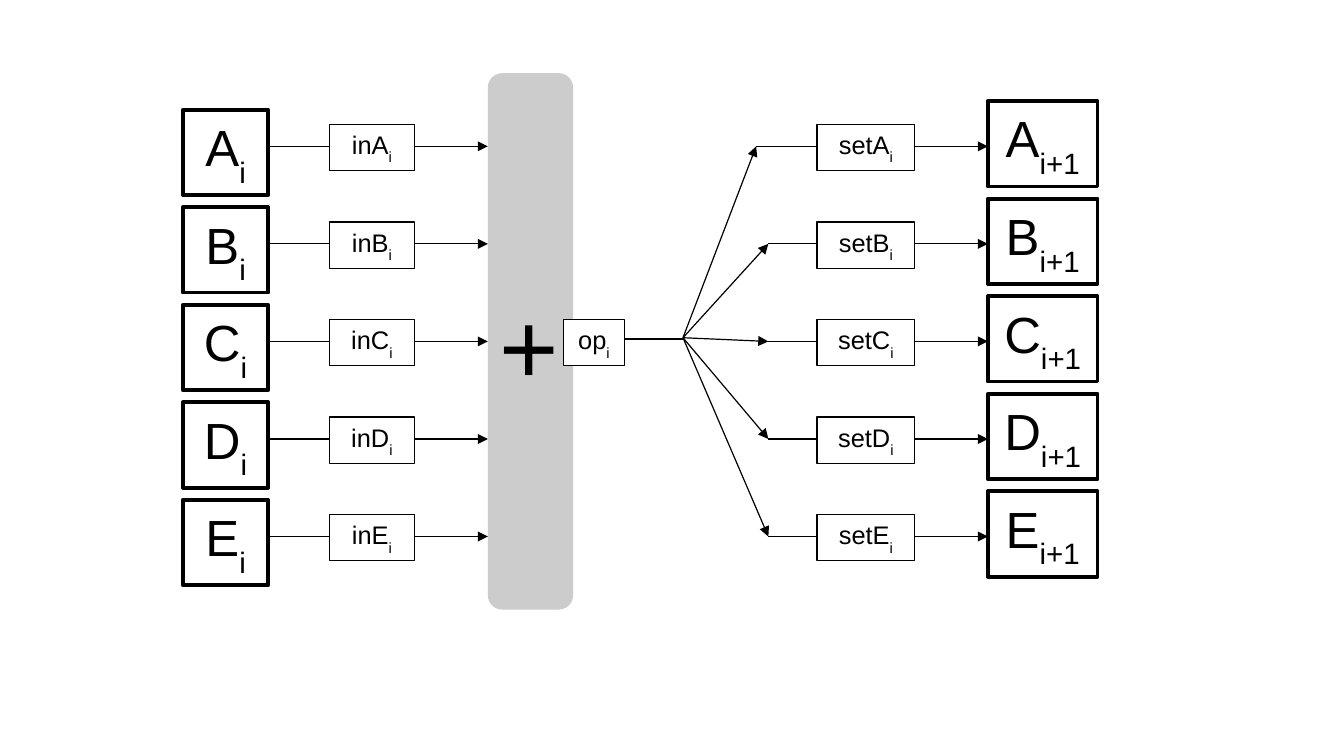
from lxml import etree
from pptx import Presentation, util as u
from pptx.dml.color import RGBColor
from pptx.enum import shapes, text
from pptx.oxml import ns

BLACK = RGBColor(0x00, 0x00, 0x00)
WHITE = RGBColor(0xFF, 0xFF, 0xFF)
GRAY = RGBColor(0xCC, 0xCC, 0xCC)

THIN, THICK = 0.71, 2.27
NAMES = "ABCDE"
TOP, STEP = 1.2, 0.8
FORK = (5.6, 2.77)


class Board:
    font = "Arial"

    def __init__(self, slide):
        self.items = slide.shapes

    def letter(self, shape, base, sub, size, pad, align):
        """Fill a shape with a base text and its subscript."""
        frame = shape.text_frame
        form = {
            "word_wrap": True,
            "auto_size": text.MSO_AUTO_SIZE.SHAPE_TO_FIT_TEXT,
            "margin_left": u.Inches(pad),
            "margin_right": u.Inches(pad),
            "margin_top": u.Inches(pad - 0.05),
            "margin_bottom": u.Inches(pad - 0.05),
        }
        for key, value in form.items():
            setattr(frame, key, value)
        para = frame.paragraphs[0]
        para.alignment = align
        for part in filter(None, (base, sub)):
            run = para.add_run()
            run.text = part
            look = {"name": self.font, "size": u.Pt(size)}
            for key, value in look.items():
                setattr(run.font, key, value)
            run.font.color.rgb = BLACK
            if part == sub:
                run.font._element.set("baseline", "-33000")

    def shape(self, kind, left, top, width, height):
        item = self.items.add_shape(kind, *map(u.Inches, (left, top, width, height)))
        item.shadow.inherit = False
        return item

    def box(self, left, top, width, height, base, sub, size, line, pad, fill=None):
        item = self.shape(shapes.MSO_SHAPE.RECTANGLE, left, top, width, height)
        if fill is None:
            item.fill.background()
        else:
            item.fill.solid()
            item.fill.fore_color.rgb = fill
        item.line.color.rgb = BLACK
        item.line.width = u.Pt(line)
        self.letter(item, base, sub, size, pad, text.PP_ALIGN.CENTER)

    def state(self, left, top, width, base, sub):
        self.box(left, top, width, 0.7, base, sub, 30, THICK, 0.11)

    def label(self, left, mid, width, base):
        self.box(left, mid - 0.18, width, 0.38, base, "i", 15, THIN, 0.1, WHITE)

    def bar(self, left, top, width, height):
        item = self.shape(shapes.MSO_SHAPE.ROUNDED_RECTANGLE, left, top, width, height)
        item.adjustments[0] = 0.17
        item.fill.solid()
        item.fill.fore_color.rgb = GRAY
        item.line.fill.background()

    def sign(self, left, top, width, height, mark):
        item = self.items.add_textbox(*map(u.Inches, (left, top, width, height)))
        self.letter(item, mark, None, 60, 0.1, text.PP_ALIGN.LEFT)

    def line(self, start, end, arrow=True):
        item = self.items.add_connector(
            shapes.MSO_CONNECTOR.STRAIGHT, *map(u.Inches, start + end))
        item.line.color.rgb = BLACK
        item.line.width = u.Pt(THIN)
        props = item._element.spPr
        if arrow:
            stroke = props.find(ns.qn("a:ln"))
            etree.SubElement(stroke, ns.qn("a:tailEnd"), type="triangle")
        etree.SubElement(props, ns.qn("a:effectLst"))


def main():
    deck = Presentation()
    deck.slide_width, deck.slide_height = u.Inches(11.02), u.Inches(6.2)
    board = Board(deck.slides.add_slide(deck.slide_layouts[6]))

    board.bar(4, 0.6, 0.7, 4.4)
    board.sign(4, 2.27, 0.7, 1.03, "+")
    for row, name in enumerate(NAMES):
        mid = TOP + row * STEP
        bend = (6.2 if row == 0 else 6.3, mid)
        board.state(1.5, mid - 0.3, 0.7, name, "i")
        board.line((2.2, mid), (4, mid))
        board.label(2.7, mid, 0.7, "in" + name)
        board.line(FORK, bend)
        board.line(bend, (8.1, mid))
        board.label(6.7, mid, 0.8, "set" + name)
        board.state(8.1, mid - 0.37, 0.9, name, "i+1")
    board.line((5.6, 2.78), (4.7, 2.78), arrow=False)
    board.label(4.62, 2.8, 0.5, "op")

    deck.save("out.pptx")


if __name__ == "__main__":
    main()
